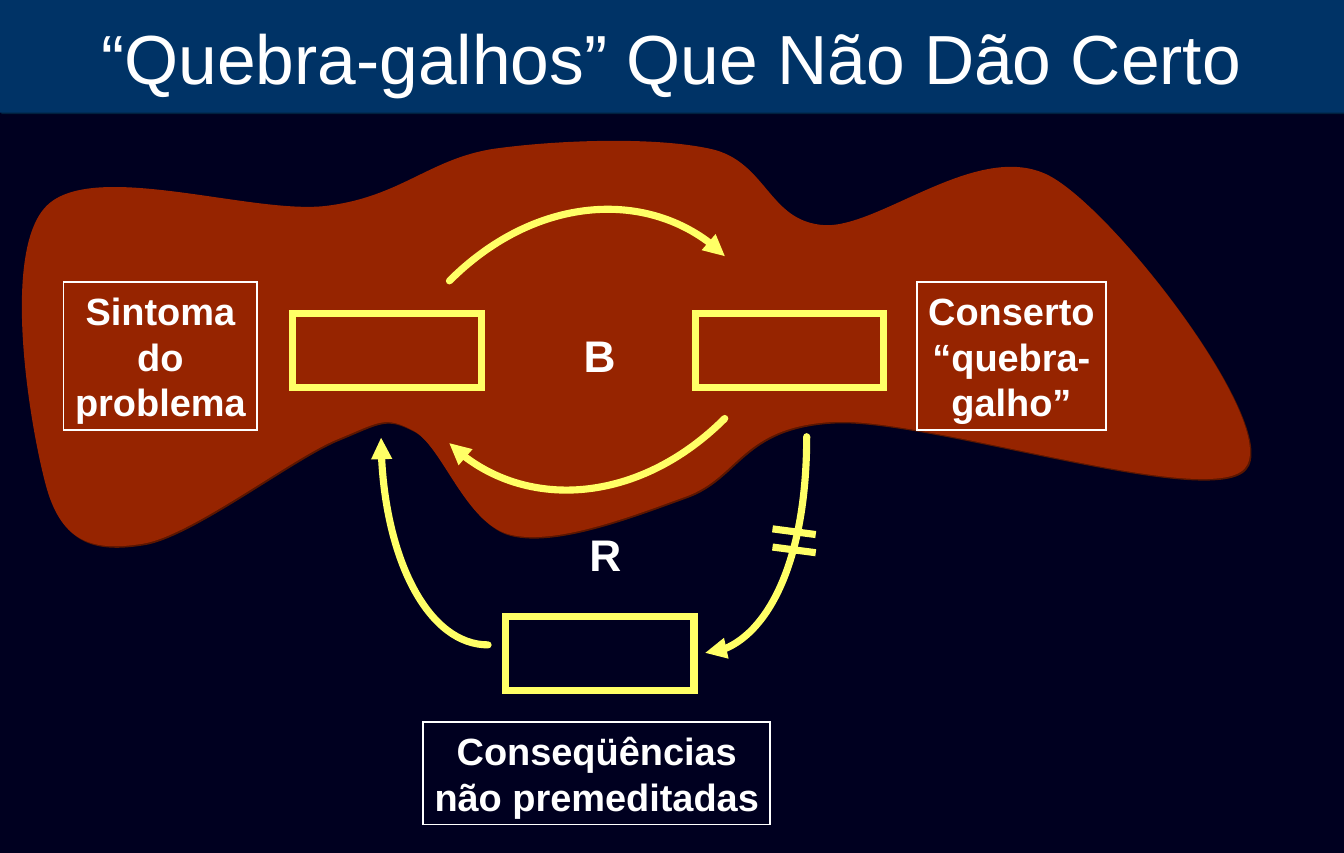
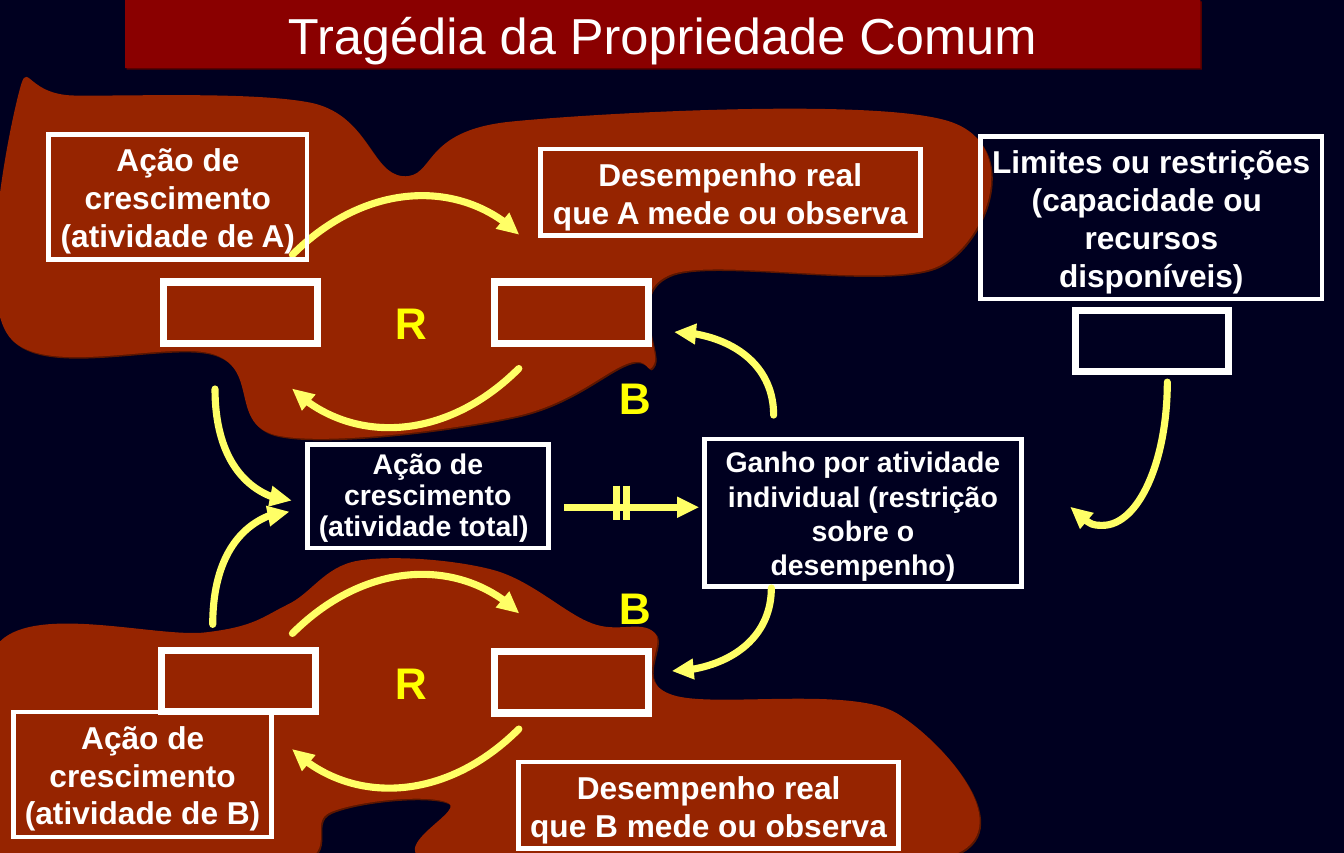
from typing import NamedTuple

from lxml.etree import SubElement
from pptx import Presentation
from pptx.dml.color import RGBColor
from pptx.enum.shapes import MSO_CONNECTOR, MSO_SHAPE
from pptx.enum.text import MSO_ANCHOR, PP_ALIGN
from pptx.oxml.ns import qn
from pptx.shapes.base import BaseShape
from pptx.slide import Slide
from pptx.util import Emu, Inches, Pt

COLS, ROWS = 189 / 16, 7.5  # grid of one-inch cells
FONT = "Arial"
NAVY, WHITE, CREAM, YELLOW = "000020", "FFFFFF", "FFFF66", "FFFF00"
RUST, RUST_SHADE = "962400", "5A1600"
THICK = 4.5

Point = tuple[float, float]


class Band(NamedTuple):
    x: float
    w: float
    h: float
    text: str
    size: int
    color: str
    shade: str


class Label(NamedTuple):
    x: float
    y: float
    w: float
    h: float
    text: str
    size: int = 20
    border: float = 3
    wrap: bool = False
    spacing: float = 1.0


class Loop(NamedTuple):
    """A balancing or reinforcing pair of arcs; span is the run of an arc."""
    upper: Point
    lower: Point
    span: float


class Quarter(NamedTuple):
    """A quarter turn that leaves its start vertically."""
    start: Point
    end: Point
    arrow: str = "tailEnd"


def cells(n: float) -> Emu:
    return Inches(n)


def rgb(color: str) -> RGBColor:
    return RGBColor.from_string(color)


def write(sp: BaseShape, text: str, *, size: int, color: str = WHITE, bold: bool = True,
          wrap: bool = False, spacing: float = 1.0, anchor=MSO_ANCHOR.TOP) -> None:
    tf = sp.text_frame
    tf.word_wrap = wrap
    tf.vertical_anchor = anchor
    for i, line in enumerate(text.split("\n")):
        p = tf.paragraphs[0] if i == 0 else tf.add_paragraph()
        p.alignment = PP_ALIGN.CENTER
        if spacing != 1:
            p.line_spacing = spacing
        r = p.add_run()
        r.text = line
        r.font.name, r.font.size, r.font.bold = FONT, Pt(size), bold
        r.font.color.rgb = rgb(color)


def paint(sp: BaseShape, fill: str = "", line: str = "", width: float = 1,
          shade: str = "") -> None:
    sp.shadow.inherit = False
    if fill:
        sp.fill.solid()
        sp.fill.fore_color.rgb = rgb(fill)
    else:
        sp.fill.background()
    if line:
        sp.line.color.rgb = rgb(line)
        sp.line.width = Pt(width)
    else:
        sp.line.fill.background()
    if shade:
        effects = sp._element.spPr.find(qn("a:effectLst"))
        shadow = SubElement(effects, qn("a:outerShdw"), dist="17780", dir="2700000",
                            algn="ctr", rotWithShape="0")
        SubElement(shadow, qn("a:srgbClr"), val=shade)


def add_rect(s: Slide, x: float, y: float, w: float, h: float, **look) -> BaseShape:
    sp = s.shapes.add_shape(MSO_SHAPE.RECTANGLE, *map(cells, (x, y, w, h)))
    paint(sp, **look)
    SubElement(sp.line._get_or_add_ln(), qn("a:miter"), lim="800000")
    return sp


def add_curve(s: Slide, points: list[Point], close: bool = False) -> BaseShape:
    """Draw cubic curves: a start, then two controls and an end for each curve."""
    start, *rest = [(cells(x), cells(y)) for x, y in points]
    fb = s.shapes.build_freeform(*start)
    fb.add_line_segments(rest, close=close)
    sp = fb.convert_to_shape()
    segments = list(sp._element.iter(qn("a:lnTo")))
    for triple in zip(*[iter(segments)] * 3):
        curve = triple[0].makeelement(qn("a:cubicBezTo"))
        triple[0].addprevious(curve)
        for segment in triple:
            curve.append(segment[0])
            segment.getparent().remove(segment)
    return sp


def add_blob(s: Slide, points: list[Point]) -> None:
    paint(add_curve(s, points, close=True), fill=RUST, shade=RUST_SHADE)


def add_arrowhead(sp: BaseShape, end: str = "tailEnd") -> None:
    SubElement(sp.line._get_or_add_ln(), qn(f"a:{end}"), type="triangle")


def add_curved_arrow(s: Slide, points: list[Point], arrow: str = "tailEnd") -> None:
    sp = add_curve(s, points)
    paint(sp, line=CREAM, width=THICK)
    sp.line._get_or_add_ln().set("cap", "rnd")
    add_arrowhead(sp, arrow)


def add_loop(s: Slide, loop: Loop) -> None:
    shares = ((0, 0), (0.3, -0.3), (0.75, -0.34), (1, -0.09))
    for (x, y), span in ((loop.upper, loop.span), (loop.lower, -loop.span)):
        add_curved_arrow(s, [(x + dx * span, y + dy * span) for dx, dy in shares])


def add_quarter(s: Slide, q: Quarter) -> None:
    (x0, y0), (x1, y1) = q.start, q.end
    controls = [(x0, y0 + 0.55 * (y1 - y0)), (x0 + 0.45 * (x1 - x0), y1)]
    add_curved_arrow(s, [q.start, *controls, q.end], q.arrow)


def add_line(s: Slide, start: Point, end: Point, arrow: bool = False) -> None:
    c = s.shapes.add_connector(MSO_CONNECTOR.STRAIGHT, *map(cells, (*start, *end)))
    c.line.color.rgb = rgb(CREAM)
    c.line.width = Pt(THICK)
    if arrow:
        add_arrowhead(c)
    SubElement(c._element.spPr, qn("a:effectLst"))


def add_label(s: Slide, b: Label) -> None:
    sp = add_rect(s, b.x, b.y, b.w, b.h, line=WHITE, width=b.border)
    write(sp, b.text, size=b.size, wrap=b.wrap, spacing=b.spacing)


def add_letter(s: Slide, x: float, y: float, text: str, color: str) -> None:
    sp = s.shapes.add_textbox(*map(cells, (x, y, 0.48, 0.56)))
    write(sp, text, size=28, color=color)


def add_nodes(s: Slide, places: list[Point], w: float, h: float, color: str) -> None:
    for x, y in places:
        add_rect(s, x, y, w, h, line=color, width=THICK)


def new_slide(prs: Presentation, blobs: list[list[Point]], band: Band) -> Slide:
    s = prs.slides.add_slide(prs.slide_layouts[6])
    s.background.fill.solid()
    s.background.fill.fore_color.rgb = rgb(NAVY)
    for points in blobs:
        add_blob(s, points)
    sp = add_rect(s, band.x, 0, band.w, band.h, fill=band.color, shade=band.shade)
    write(sp, band.text, size=band.size, bold=False, wrap=True, anchor=MSO_ANCHOR.MIDDLE)
    return s


FIX_BLOB = [
    (9.25, 1.56), (9.86, 1.92), (11.26, 3.77), (10.94, 4.12), (10.62, 4.48), (8.15, 3.67),
    (7.33, 3.71), (6.51, 3.75), (6.5, 4.2), (6.02, 4.37), (5.55, 4.54), (4.88, 4.8),
    (4.48, 4.7), (4.09, 4.6), (3.89, 3.93), (3.64, 3.79), (3.38, 3.65), (3.34, 3.71),
    (2.95, 3.87), (2.55, 4.04), (1.68, 4.71), (1.26, 4.78), (0.83, 4.85), (0.55, 4.78),
    (0.41, 4.29), (0.27, 3.79), (0, 2.22), (0.41, 1.81), (0.82, 1.4), (2.22, 1.89),
    (2.87, 1.81), (3.52, 1.73), (3.77, 1.4), (4.33, 1.31), (4.89, 1.23), (5.76, 1.2),
    (6.25, 1.31), (6.74, 1.42), (6.75, 1.95), (7.25, 1.98), (7.75, 2), (8.63, 1.2),
    (9.25, 1.56)]
BLOB_B = [
    (0, 5.64), (0.33, 5.31), (1.39, 5.61), (1.81, 5.56), (2.23, 5.51), (2.3, 5.43),
    (2.52, 5.32), (2.74, 5.22), (2.85, 4.98), (3.15, 4.93), (3.45, 4.88), (3.99, 4.92),
    (4.33, 5.01), (4.67, 5.1), (4.96, 5.39), (5.2, 5.48), (5.43, 5.57), (5.63, 5.45),
    (5.75, 5.56), (5.87, 5.67), (5.55, 5.99), (5.91, 6.11), (6.26, 6.23), (7.47, 6.03),
    (7.88, 6.27), (8.28, 6.51), (9, 7.31), (8.35, 7.53), (7.69, 7.75), (4.67, 7.69),
    (3.94, 7.61), (3.2, 7.53), (4.11, 7.14), (3.94, 7.06), (3.77, 6.98), (3.15, 7.04),
    (2.91, 7.14), (2.68, 7.23), (3.03, 7.54), (2.52, 7.61), (2.01, 7.68), (0.25, 7.86),
    (-0.16, 7.53), (-0.56, 7.2), (-0.33, 5.97), (0, 5.64)]
BLOB_A = [
    (0.16, 0.84), (0.07, 1.19), (-0.21, 2.58), (0.08, 2.96), (0.37, 3.34), (1.5, 2.98),
    (1.89, 3.12), (2.28, 3.26), (2.01, 3.74), (2.44, 3.83), (2.87, 3.92), (3.98, 3.78),
    (4.49, 3.67), (5, 3.57), (5.3, 3.28), (5.51, 3.2), (5.72, 3.12), (5.68, 3.33),
    (5.75, 3.2), (5.81, 3.07), (5.49, 2.56), (5.91, 2.41), (6.33, 2.27), (7.86, 2.56),
    (8.27, 2.33), (8.68, 2.11), (8.98, 1.28), (8.35, 1.07), (7.72, 0.86), (5.29, 0.99),
    (4.49, 1.07), (3.69, 1.15), (3.83, 1.57), (3.54, 1.55), (3.26, 1.52), (3.24, 1.03),
    (2.76, 0.91), (2.27, 0.8), (1.06, 0.85), (0.63, 0.84), (0.2, 0.82), (0.25, 0.48),
    (0.16, 0.84)]


def build_fixes(prs: Presentation) -> None:
    band = Band(0, COLS, 0.99, "“Quebra-galhos” Que Não Dão Certo", 44, "003366", "001F3D")
    s = new_slide(prs, [FIX_BLOB], band)
    add_nodes(s, [(2.57, 2.76), (6.11, 2.76), (4.44, 5.42)], 1.66, 0.65, CREAM)
    add_loop(s, Loop((3.95, 2.47), (6.37, 3.68), 2.42))
    for q in (Quarter((3.35, 3.85), (4.29, 5.67), "headEnd"),
              Quarter((7.09, 3.84), (6.2, 5.74))):
        add_quarter(s, q)
    for y in (4.65, 4.81):
        add_line(s, (6.79, y), (7.17, y + 0.05))
    add_letter(s, 5.03, 2.84, "B", WHITE)
    add_letter(s, 5.08, 4.59, "R", WHITE)
    for label in (Label(0.56, 2.48, 1.7, 1.3, "Sintoma\ndo\nproblema", 24, 1),
                  Label(8.06, 2.48, 1.66, 1.3, "Conserto\n“quebra-\ngalho”", 24, 1),
                  Label(3.72, 6.35, 3.05, 0.9, "Conseqüências\nnão premeditadas", 24, 1)):
        add_label(s, label)


def build_commons(prs: Presentation) -> None:
    band = Band(1.1, 9.45, 0.6, "Tragédia da Propriedade Comum", 32, "8A0000", "530000")
    s = new_slide(prs, [BLOB_B, BLOB_A], band)
    nodes = [(1.44, 2.48), (4.35, 2.48), (1.42, 5.72), (4.35, 5.73), (9.45, 2.73)]
    add_nodes(s, nodes, 1.35, 0.54, WHITE)
    for upper, lower in ((2.24, 3.24), (5.57, 6.41)):
        add_loop(s, Loop((2.57, upper), (4.56, lower), 1.99))
    for x, y, letter in ((3.37, 2.55, "R"), (3.37, 5.71, "R"),
                         (5.34, 3.21, "B"), (5.34, 5.05, "B")):
        add_letter(s, x, y, letter, YELLOW)
    for name, (ax, ay), (px, py) in (("A", (0.43, 1.18), (4.75, 1.31)),
                                     ("B", (0.12, 6.26), (4.56, 6.7))):
        add_label(s, Label(ax, ay, 2.27, 1.1, f"Ação de\ncrescimento\n(atividade de {name})"))
        add_label(s, Label(px, py, 3.34, 0.76,
                           f"Desempenho real\nque {name} mede ou observa"))
    for label in (
            Label(2.7, 3.91, 2.12, 0.91, "Ação de\ncrescimento\n(atividade total) ", 18,
                  spacing=0.9),
            Label(6.19, 3.86, 2.79, 1.3, "Ganho por atividade\nindividual (restrição\n"
                  "sobre o desempenho)", 18, wrap=True),
            Label(8.62, 1.2, 3, 1.43,
                  "Limites ou restrições\n(capacidade ou \nrecursos\ndisponíveis)")):
        add_label(s, label)
    for q in (Quarter((1.89, 3.42), (2.56, 4.4)), Quarter((1.87, 5.49), (2.54, 4.5)),
              Quarter((6.78, 5.17), (5.91, 5.9)), Quarter((6.8, 3.65), (5.93, 2.92))):
        add_quarter(s, q)
    add_curved_arrow(s, [(10.26, 3.36), (10.26, 4.05), (10.01, 4.62), (9.69, 4.62),
                         (9.59, 4.62), (9.5, 4.56), (9.41, 4.46)])
    add_line(s, (4.96, 4.46), (6.14, 4.46), arrow=True)
    for x in (5.42, 5.51):
        add_line(s, (x, 4.27), (x, 4.57))


def main() -> None:
    prs = Presentation()
    prs.slide_width, prs.slide_height = cells(COLS), cells(ROWS)
    build_fixes(prs)
    build_commons(prs)
    prs.save("out.pptx")


if __name__ == "__main__":
    main()
